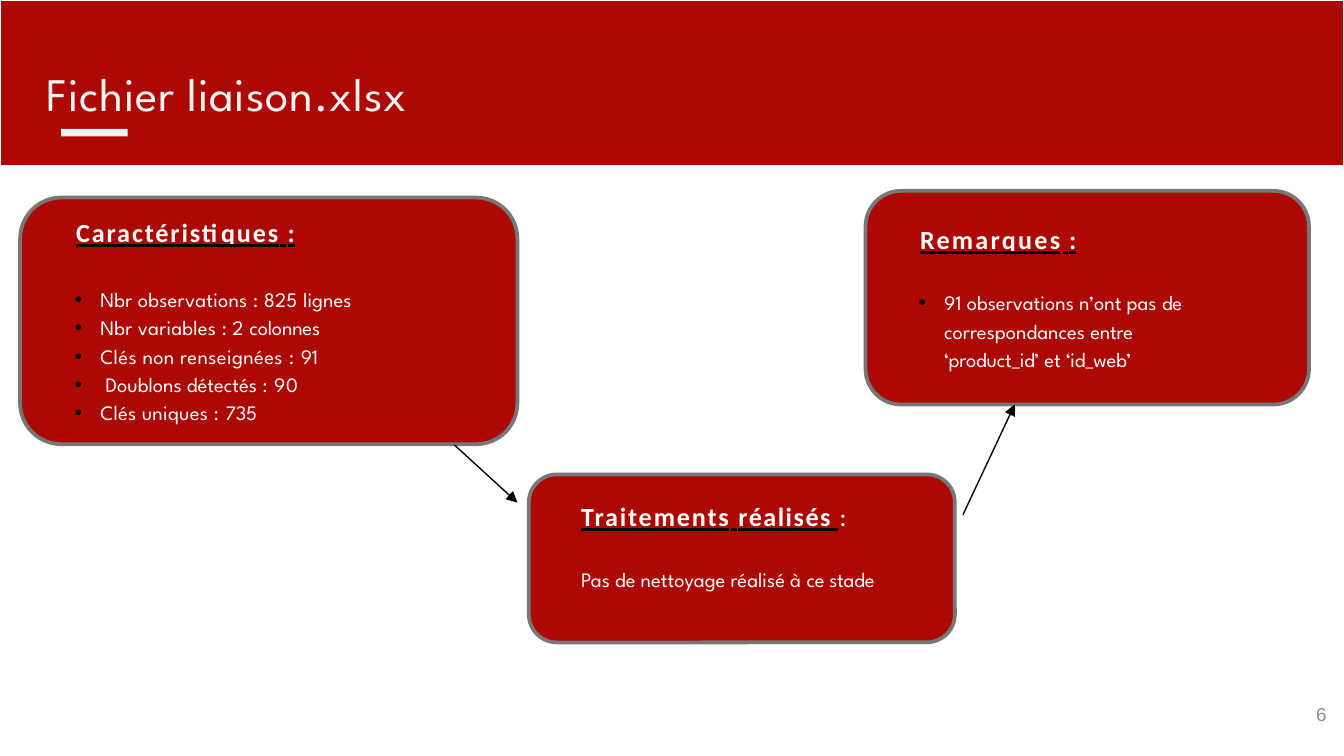
from dataclasses import dataclass

from lxml import etree
from pptx import Presentation
from pptx import util as u
from pptx.dml.color import RGBColor
from pptx.enum import shapes, text
from pptx.oxml import ns

PX = 4572  # EMU per px, 200 px to the inch


@dataclass(frozen=True)
class TextStyle:
    font: str
    size: int
    color: str
    bold: bool = False
    underline: bool = False


class Theme:
    red, white, black = "AC0804", "FFFFFF", "000000"
    pale, border = "F3F3F3", "777777"
    title = TextStyle("League Spartan", 25, pale)
    heading = TextStyle("Calibri", 14, white, bold=True, underline=True)
    colon = TextStyle("League Spartan", 14, white)
    body = TextStyle("League Spartan", 11, white)
    number = TextStyle("Arial", 10, "8C8C8C")


def px(value):
    return u.Emu(value * PX)


def add_xml(parent, tag, **attributes):
    return etree.SubElement(parent, ns.qn(tag), attributes)


def add_block(slide, kind, box, fill, line=None, line_width=0.75):
    shape = slide.shapes.add_shape(kind, *map(px, box))
    shape.shadow.inherit = False
    shape.fill.solid()
    shape.fill.fore_color.rgb = RGBColor.from_string(fill)
    if line:
        shape.line.color.rgb = RGBColor.from_string(line)
        shape.line.width = u.Pt(line_width)
    else:
        shape.line.fill.background()
    return shape


def add_run(paragraph, words, style, spacing=0):
    run = paragraph.add_run()
    run.text = words
    font = run.font
    font.size, font.bold = u.Pt(style.size), style.bold
    font.underline = style.underline
    font.color.rgb = RGBColor.from_string(style.color)
    properties = run._r.get_or_add_rPr()
    properties.set("spc", str(round(spacing * 100)))
    if style.underline:
        fill = add_xml(add_xml(properties, "a:uFill"), "a:solidFill")
        add_xml(fill, "a:srgbClr", val=Theme.black)
    font.name = style.font


def set_indent(paragraph, left, first=0):
    properties = paragraph._p.get_or_add_pPr()
    properties.set("marL", str(px(left)))
    properties.set("indent", str(px(first)))
    return properties


def add_bullet(paragraph):
    properties = set_indent(paragraph, 82, -38)
    add_xml(add_xml(properties, "a:buClr"), "a:srgbClr", val=Theme.black)
    add_xml(properties, "a:buFont", typeface="Arial")
    add_xml(properties, "a:buChar", char="•")


def add_text_box(slide, box, words, style, align, anchor, spacing=0):
    frame = slide.shapes.add_textbox(*map(px, box)).text_frame
    frame.word_wrap = True
    frame.vertical_anchor = anchor
    frame.margin_left = frame.margin_right = 0
    frame.margin_top = frame.margin_bottom = 0
    paragraph = frame.paragraphs[0]
    paragraph.alignment = align
    add_run(paragraph, words, style, spacing)


def add_header(slide, box, title):
    """Red band with the title and a short accent bar."""
    left, top, width, _ = box
    add_block(slide, shapes.MSO_SHAPE.RECTANGLE, box, Theme.red, Theme.white)
    add_text_box(slide, (left + 69, top + 97, width - 137, 90), title, Theme.title,
                 text.PP_ALIGN.LEFT, text.MSO_ANCHOR.TOP, spacing=0.45)
    add_block(slide, shapes.MSO_SHAPE.RECTANGLE, (left + 91, top + 192, 99, 11), Theme.pale)


def add_card(slide, box, heading, lines, gap, bullets=True, right=20, bottom=10):
    """Rounded card: a heading, then lines made of (words, spacing) runs."""
    card = add_block(slide, shapes.MSO_SHAPE.ROUNDED_RECTANGLE, box,
                     Theme.red, Theme.border, 2)
    frame = card.text_frame
    frame.word_wrap = True
    frame.vertical_anchor = text.MSO_ANCHOR.MIDDLE
    frame.margin_right, frame.margin_bottom = px(right), px(bottom)

    paragraph = frame.paragraphs[0]
    paragraph.alignment = text.PP_ALIGN.LEFT
    set_indent(paragraph, 46)
    for words, spacing, *style in heading:
        add_run(paragraph, words, style[0] if style else Theme.heading, spacing)

    for index, runs in enumerate(lines):
        paragraph = frame.add_paragraph()
        paragraph.alignment = text.PP_ALIGN.LEFT
        if bullets:
            add_bullet(paragraph)
            paragraph.line_spacing = 1.15
        else:
            set_indent(paragraph, 46)
        paragraph.space_before = u.Pt(0 if index else gap)
        for words, spacing in runs:
            add_run(paragraph, words, Theme.body, spacing)


def add_arrow(slide, start, end):
    arrow = slide.shapes.add_connector(shapes.MSO_CONNECTOR.STRAIGHT,
                                       *map(px, start + end))
    arrow.line.color.rgb = RGBColor.from_string(Theme.black)
    arrow.line.width = u.Pt(0.75)
    add_xml(arrow.line._get_or_add_ln(), "a:tailEnd", type="triangle")
    add_xml(arrow._element.spPr, "a:effectLst")


def main():
    presentation = Presentation()
    presentation.slide_width, presentation.slide_height = px(2000), px(1125)
    slide = presentation.slides.add_slide(presentation.slide_layouts[6])

    add_header(slide, (0, 0, 2000, 246), "Fichier liaison.xlsx")

    # Cards
    add_card(slide, (787, 706, 634, 250),
             [("Traitements", 1), (" ", 0.7), ("réalisés ", 0.8), (":", -0.5, Theme.colon)],
             [[("Pas de nettoyage réalisé ", 0), ("à ", 0), ("ce ", -0.1), ("stade", -0.1)]],
             gap=19, bullets=False, bottom=46)
    add_card(slide, (1288, 284, 660, 318),
             [("Remarques", 1.2), (" ", 0.3), (":", -0.3)],
             [[("91 ", 0), ("observations n’ont pas ", 0), ("de", -0.2),
               (" correspondances ", 0), ("entre ", -0.1), ("‘product_id’ ", -0.1),
               ("et ", 0), ("‘id_web’", -0.1)]],
             gap=17, right=132)
    add_card(slide, (30, 294, 740, 367),
             [("Caractéristiques", 1), (" ", 0.6), (":", -0.5)],
             [[("Nbr observations : 825 ", 0.12), ("lignes", 0)],
              [("Nbr variables : 2 ", 0.1), ("colonnes", -0.1)],
              [("Clés non renseignées ", 0.2), (": ", 0.4), ("91", -0.2)],
              [(" Doublons détectés ", 0), (": ", 0.4), ("90", 0.4)],
              [("Clés uniques ", 0.1), (": ", 0.4), ("735", -0.2)]],
             gap=19)

    # Flow between the cards
    add_arrow(slide, (676, 662), (770, 748))
    add_arrow(slide, (1433, 766), (1510, 602))

    # Slide number
    add_text_box(slide, (1854, 1020, 120, 86), "6", Theme.number,
                 text.PP_ALIGN.RIGHT, text.MSO_ANCHOR.MIDDLE)

    presentation.save("out.pptx")


if __name__ == "__main__":
    main()
